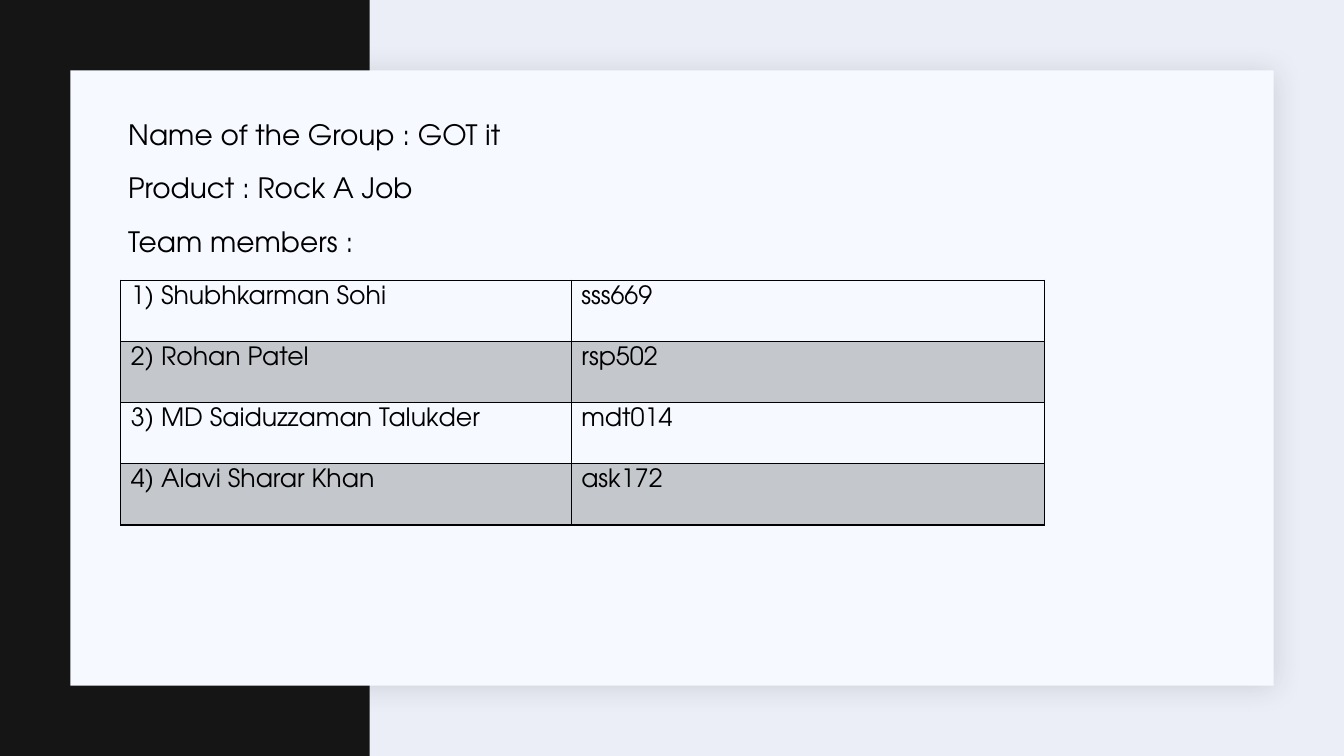
from lxml.etree import SubElement
from pptx import Presentation
from pptx.dml.color import RGBColor
from pptx.enum.shapes import MSO_SHAPE
from pptx.oxml import parse_xml
from pptx.oxml.ns import nsdecls, qn
from pptx.util import Pt

PX = 9525
FONT = "TeX Gyre Adventor"
BLACK = "000000"
GROUP_LINES = ["Name of the Group : GOT it", "Product : Rock A Job", "Team members :"]
MEMBERS = [
    ("1) Shubhkarman Sohi", "sss669"),
    ("2) Rohan Patel", "rsp502"),
    ("3) MD Saiduzzaman Talukder", "mdt014"),
    ("4) Alavi Sharar Khan", "ask172"),
]


def px(*lengths):
    """Turn pixel lengths into EMU."""
    return [length * PX for length in lengths]


def color(hex_code):
    """Turn a hex string into a colour."""
    return RGBColor.from_string(hex_code)


def add_run(paragraph, words, size):
    """Add one run in the slide's font."""
    run = paragraph.add_run()
    run.text = words
    run.font.name = FONT
    run.font.size = Pt(size)
    run.font.color.rgb = color(BLACK)


def add_panel(slide, box, fill):
    """Draw a plain filled rectangle."""
    panel = slide.shapes.add_shape(MSO_SHAPE.RECTANGLE, *px(*box))
    panel.shadow.inherit = False
    panel.fill.solid()
    panel.fill.fore_color.rgb = color(fill)
    panel.line.fill.background()
    return panel


def add_card(slide, box):
    """Draw the pale card with its soft shadow."""
    card = add_panel(slide, box, "F6F9FF")
    effects = card._element.spPr.find(qn("a:effectLst"))
    effects.append(parse_xml(
        f'<a:outerShdw {nsdecls("a")} blurRad="{Pt(20)}" dist="{Pt(2)}" dir="2700000"'
        ' algn="ctr" rotWithShape="0"><a:srgbClr val="1F2125"><a:alpha val="15000"/>'
        '</a:srgbClr></a:outerShdw>'))


def add_group_details(slide, box):
    """Write the group, product and team lines."""
    frame = slide.shapes.add_textbox(*px(*box)).text_frame
    frame.word_wrap = True
    frame.margin_left, frame.margin_right, frame.margin_top, frame.margin_bottom = px(10, 0, 5, 5)
    for index, line in enumerate(GROUP_LINES):
        paragraph = frame.paragraphs[0] if index == 0 else frame.add_paragraph()
        paragraph.space_before = Pt(12 if index else 0)
        paragraph.space_after = Pt(2)
        add_run(paragraph, line, 20)


def style_cell(cell, shaded):
    """Shade a cell if asked and give it thin black borders."""
    if shaded:
        cell.fill.solid()
        cell.fill.fore_color.rgb = color(BLACK)
    else:
        cell.fill.background()
    properties = cell._tc.get_or_add_tcPr()
    for tint in properties.iter(qn("a:srgbClr")):
        SubElement(tint, qn("a:alpha"), val="20000")
    for place, side in enumerate(("lnL", "lnR", "lnT", "lnB")):
        properties.insert(place, parse_xml(
            f'<a:{side} {nsdecls("a")} w="{Pt(1)}"><a:solidFill>'
            f'<a:srgbClr val="{BLACK}"/></a:solidFill></a:{side}>'))


def add_member_table(slide, box, name_width):
    """Build the table of members and their identifiers."""
    width = box[2]
    table = slide.shapes.add_table(len(MEMBERS), 2, *px(*box)).table
    table.first_row = False
    table.horz_banding = False
    table.columns[0].width, table.columns[1].width = px(name_width, width - name_width)
    for row, member in enumerate(MEMBERS):
        for column, words in enumerate(member):
            cell = table.cell(row, column)
            cell.margin_top, cell.margin_bottom = px(5, 5)
            add_run(cell.text_frame.paragraphs[0], words, 18)
            style_cell(cell, shaded=row % 2 == 1)


def build_team_slide(presentation):
    """Place every part of the team slide."""
    slide = presentation.slides.add_slide(presentation.slide_layouts[6])
    slide.background.fill.solid()
    slide.background.fill.fore_color.rgb = color("ECEEF7")
    add_panel(slide, (0, 0, 352, 720), "141514")
    add_card(slide, (67, 67, 1146, 586))
    add_group_details(slide, (112, 107, 1056, 506))
    add_member_table(slide, (115, 267, 880, 233), 429)


def main():
    """Build and save the presentation."""
    presentation = Presentation()
    presentation.slide_width, presentation.slide_height = px(1280, 720)
    build_team_slide(presentation)
    presentation.save("out.pptx")


if __name__ == "__main__":
    main()
